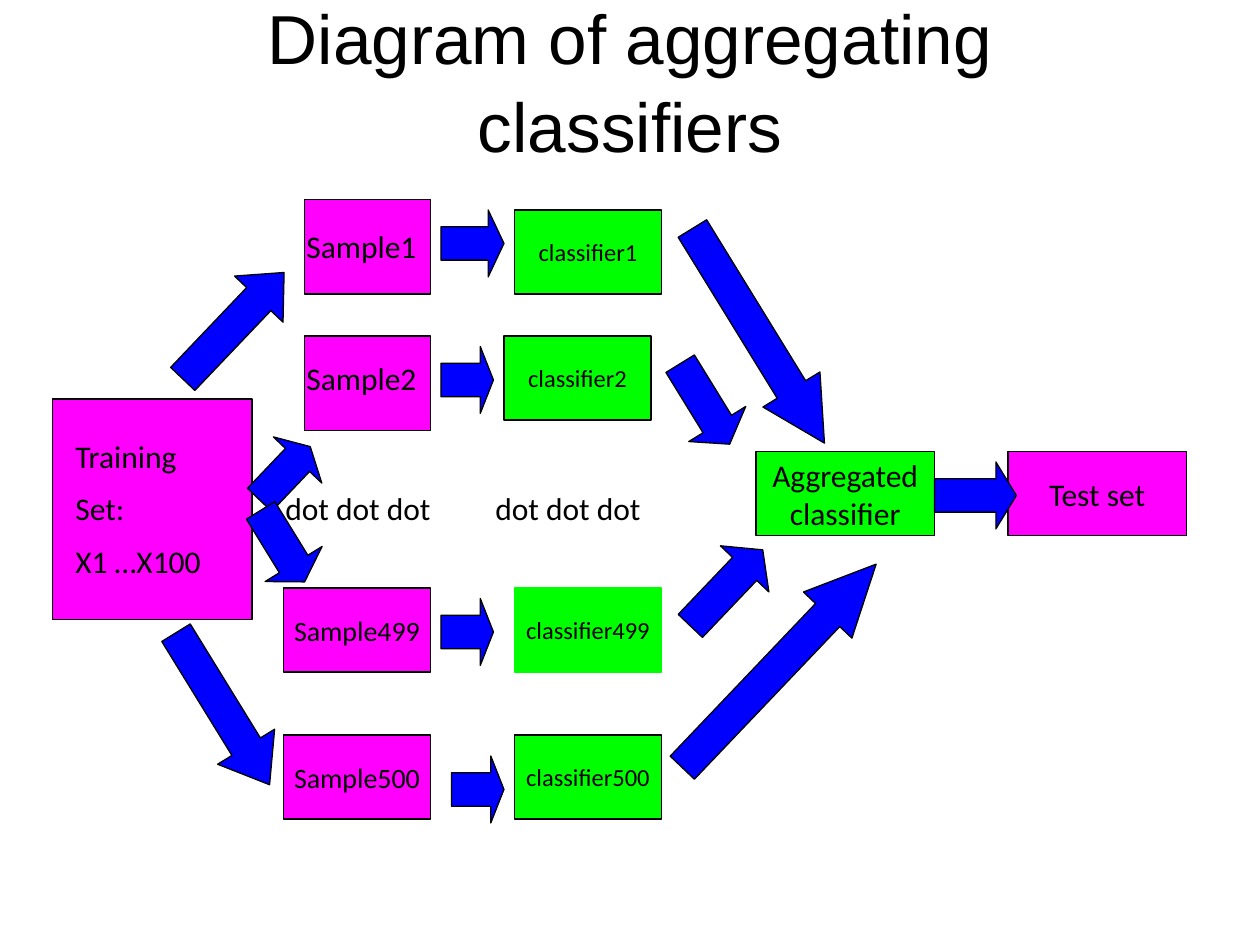
from pptx import Presentation
from pptx import util as u
from pptx.dml.color import RGBColor
from pptx.enum import shapes, text

Pt = u.Pt
COLORS = {"pink": "FF00FF", "green": "00FF00", "blue": "0000FF", "black": "000000"}
SHAPE = shapes.MSO_SHAPE
ALIGN = text.PP_ALIGN
ANCHOR = text.MSO_ANCHOR
ARROW_H = 38.25
UP, DOWN = 313.6, 58.4

BOXES = [
    (30, 228, 114, 126, "pink", "", 18),
    (174, 114, 72, 54, "pink", "", 18),
    (294, 420, 84, 48, "green", "classifier500", 14),
    (162, 420, 84, 48, "pink", "Sample500", 16),
    (162, 336, 84, 48, "pink", "Sample499", 16),
    (294, 120, 84, 48, "green", "classifier1", 14),
    (288, 192, 84, 48, "green", "classifier2", 14),
    (294, 336, 84, 48, "green", "classifier499", 14),
    (432, 258, 102, 48, "green", "Aggregated\nclassifier", 18),
    (174, 192, 72, 54, "pink", "", 18),
    (576, 258, 102, 48, "pink", "Test set", 18),
]
LABELS = [
    (156, 276, 111, 28.8, "dot dot dot"),
    (276, 276, 111, 28.8, "dot dot dot"),
    (36, 246, 98.6, 93.6, "Training\nSet:\nX1 …X100"),
    (168, 126, 82.8, 28.8, "Sample1"),
    (168, 201.6, 90.7, 28.8, "Sample2"),
]
ARROWS = [
    (534, 264, 46.8, 0),
    (252, 120, 36, 0),
    (252, 198, 30, 0),
    (252, 342, 30, 0),
    (258, 432, 30, 0),
    (365, 361.4, 160.6, UP),
    (361.4, 172.8, 144, DOWN),
    (375.8, 211.7, 54, DOWN),
    (385.2, 316.8, 60, UP),
    (141.8, 251.3, 42, UP),
    (91.4, 167, 84, UP),
    (76.3, 385.9, 102, DOWN),
    (137.5, 293, 48, DOWN),
]


def rgb(name):
    return RGBColor.from_string(COLORS[name])


def set_attrs(obj, fmt):
    for name, value in fmt.items():
        setattr(obj, name, value)


def write(tf, content, size, frame, para, font="Calibri", gap=0):
    set_attrs(tf, frame)
    for i, line in enumerate(content.split("\n")):
        p = tf.paragraphs[0] if i == 0 else tf.add_paragraph()
        set_attrs(p, para)
        if i and gap:
            p.space_before = Pt(gap)
        r = p.add_run()
        r.text = line
        set_attrs(r.font, {"name": font, "size": Pt(size)})
        r.font.color.rgb = rgb("black")


def add_filled(s, kind, x, y, w, h, fill, line="black"):
    sp = s.shapes.add_shape(kind, Pt(x), Pt(y), Pt(w), Pt(h))
    sp.shadow.inherit = False
    sp.fill.solid()
    sp.fill.fore_color.rgb = rgb(fill)
    sp.line.color.rgb = rgb(line)
    sp.line.width = Pt(0.75)
    return sp


def add_box(s, x, y, w, h, fill, content, size):
    line = "green" if content == "classifier499" else "black"
    sp = add_filled(s, SHAPE.FLOWCHART_PROCESS, x, y, w, h, fill, line)
    if content:
        write(sp.text_frame, content, size,
              {"word_wrap": False, "vertical_anchor": ANCHOR.MIDDLE},
              {"alignment": ALIGN.CENTER})


def add_label(s, x, y, w, h, content):
    sp = s.shapes.add_textbox(Pt(x), Pt(y), Pt(w), Pt(h))
    write(sp.text_frame, content, 18,
          {"word_wrap": "\n" in content, "vertical_anchor": ANCHOR.TOP},
          {"alignment": ALIGN.LEFT}, gap=8.6)


def add_arrow(s, x, y, w, rotation):
    sp = add_filled(s, SHAPE.RIGHT_ARROW, x, y, w, ARROW_H, "blue")
    sp.adjustments[1] = max(0.25, w / 4 / ARROW_H)
    sp.rotation = rotation


def add_title(s):
    sp = s.shapes.add_textbox(Pt(54), Pt(0), Pt(612), Pt(90))
    write(sp.text_frame, "Diagram of aggregating classifiers", 39.6,
          {"word_wrap": True, "vertical_anchor": ANCHOR.MIDDLE},
          {"alignment": ALIGN.CENTER, "line_spacing": 1.05}, font="Arial")


def main():
    prs = Presentation()
    set_attrs(prs, {"slide_width": Pt(720), "slide_height": Pt(540)})
    s = prs.slides.add_slide(prs.slide_layouts[6])
    add_title(s)
    for add, items in ((add_box, BOXES), (add_label, LABELS), (add_arrow, ARROWS)):
        for item in items:
            add(s, *item)
    prs.save("out.pptx")


if __name__ == "__main__":
    main()
